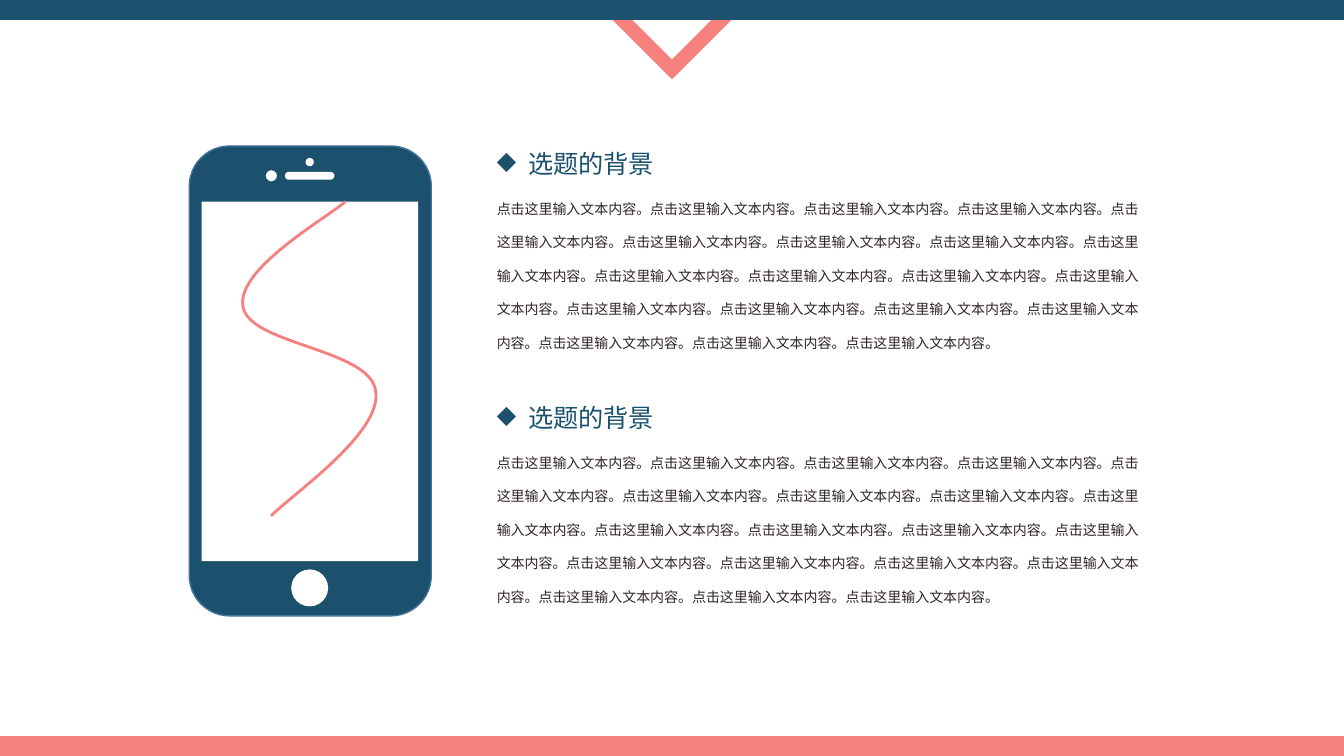
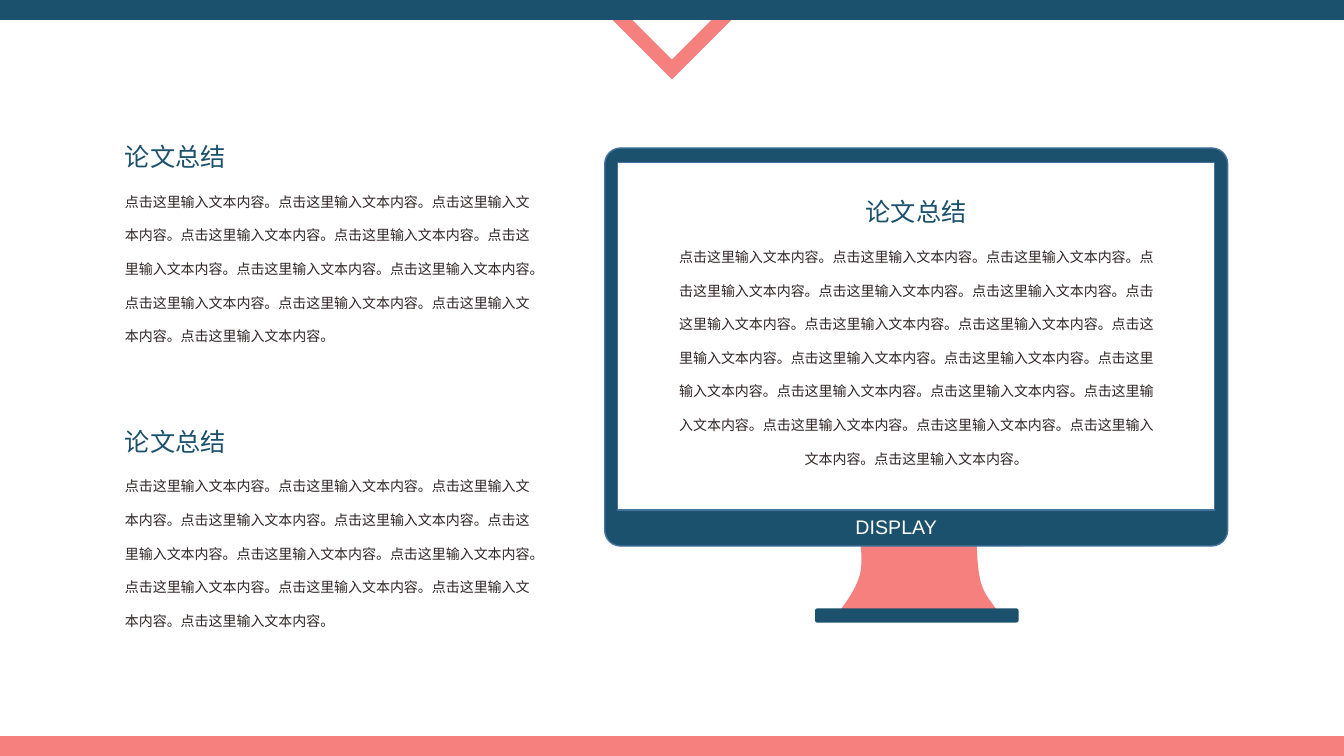
import lxml.etree
import pptx
import pptx.dml.color
import pptx.enum.shapes
import pptx.enum.text
import pptx.oxml.ns
import pptx.util

Cm = pptx.util.Cm
Pt = pptx.util.Pt
KIND = pptx.enum.shapes.MSO_SHAPE
ALIGN = pptx.enum.text.PP_ALIGN

NAVY, CORAL, WHITE, INK, EDGE = "1B516D", "F6807E", "FFFFFF", "302527", "43739E"
CJK = "Noto Sans CJK SC"
WIDTH, HEIGHT, BAND = 33.87, 19.05, 0.5
MIDDLE = WIDTH / 2
BODY_OFFSET, LINE_PITCH = 0.9, 0.85

HEADING = {"face": CJK, "size": 18, "color": NAVY, "pitch": 22}
BODY = {"face": CJK, "size": 10, "color": INK, "pitch": 24}
LABEL = {"face": "Arial", "size": 14, "color": WHITE, "pitch": 17}

SENTENCE = "点击这里输入文本内容。"

BACKGROUND_BLOCKS = [
    {"heading": "选题的背景", "at": (12.27, 3.59), "width": 16.84, "count": 20, "lines": 5, "bullet": "◆"},
    {"heading": "选题的背景", "at": (12.27, 9.99), "width": 16.84, "count": 20, "lines": 5, "bullet": "◆"},
]
SUMMARY_BLOCKS = [
    {"heading": "论文总结", "at": (2.9, 3.42), "width": 10.76, "count": 12, "lines": 5},
    {"heading": "论文总结", "at": (2.9, 10.59), "width": 10.76, "count": 12, "lines": 5},
    {"heading": "论文总结", "at": (16.8, 4.81), "width": 12.58, "count": 20, "lines": 7, "align": ALIGN.CENTER},
]

BANDS = [
    (KIND.RECTANGLE, (0, 0, WIDTH, BAND), NAVY),
    (KIND.RECTANGLE, (0, HEIGHT - BAND, WIDTH, BAND), CORAL),
]
CHEVRON = [(MIDDLE + dx, y) for dx, y in
           [(-1.5, BAND), (0, 2), (1.5, BAND), (1, BAND), (0, 1.5), (-1, BAND)]]

PHONE = [
    (KIND.ROUNDED_RECTANGLE, (4.77, 3.68, 6.1, 11.84), NAVY, EDGE),
    (KIND.RECTANGLE, (5.08, 5.08, 5.46, 9.06), WHITE),
    (KIND.OVAL, (7.34, 14.35, 0.93, 0.93), WHITE),
    (KIND.ROUNDED_RECTANGLE, (7.18, 4.33, 1.25, 0.2), WHITE, None, 0.5),
    (KIND.OVAL, (6.7, 4.29, 0.28, 0.28), WHITE),
    (KIND.OVAL, (7.7, 3.98, 0.21, 0.21), WHITE),
]
SCREEN_CURVE = [
    (8.71, 5.08), (8.13, 5.56), (5.97, 6.78), (6.12, 7.72),
    (6.27, 8.69), (9.35, 8.79), (9.47, 9.86),
    (9.63, 10.9), (7.44, 12.4), (6.83, 13),
]
MONITOR_NECK = [
    (21.64, 13.26), (21.67, 13.49), (21.79, 14.05), (21.69, 14.48),
    (21.56, 14.94), (21.23, 15.32), (21.08, 15.54),
    (21.9, 15.6), (24.3, 15.6), (25.12, 15.42),
    (25.02, 15.21), (24.79, 15.04), (24.69, 14.63),
    (24.59, 14.22), (24.61, 13.72), (24.59, 13.36),
]
MONITOR = [
    (KIND.ROUNDED_RECTANGLE, (20.54, 15.33, 5.13, 0.36), NAVY),
    (KIND.ROUNDED_RECTANGLE, (15.24, 3.73, 15.7, 10.03), NAVY, EDGE, 0.04),
    (KIND.RECTANGLE, (15.57, 4.09, 15.04, 8.76), WHITE, EDGE),
]
MONITOR_LABEL = ("DISPLAY", (21.31, 12.85, 3.56, 0.86))


def rgb(color):
    return pptx.dml.color.RGBColor.from_string(color)


def assign(target, values):
    for name, value in values.items():
        setattr(target, name, value)


def paint(shape, fill=None, line=None, weight=1):
    shape.shadow.inherit = False
    if fill:
        shape.fill.solid()
        shape.fill.fore_color.rgb = rgb(fill)
    else:
        shape.fill.background()
    if line:
        shape.line.color.rgb = rgb(line)
        shape.line.width = Pt(weight)
    else:
        shape.line.fill.background()
    return shape


def add_part(shapes, kind, box, fill, line=None, rounding=None):
    part = paint(shapes.add_shape(kind, *map(Cm, box)), fill, line)
    if rounding is not None:
        part.adjustments[0] = rounding
    return part


def add_outline(shapes, points, close, **colors):
    start, *rest = [(Cm(x), Cm(y)) for x, y in points]
    builder = shapes.build_freeform(*start)
    builder.add_line_segments(rest, close=close)
    return paint(builder.convert_to_shape(), **colors)


def trace_curve(controls, steps=24):
    points = [controls[0]]
    for first in range(0, len(controls) - 1, 3):
        segment = controls[first:first + 4]
        for step in range(1, steps + 1):
            t = step / steps
            weights = ((1 - t) ** 3, 3 * t * (1 - t) ** 2, 3 * t * t * (1 - t), t ** 3)
            points.append(tuple(sum(w * p[axis] for w, p in zip(weights, segment))
                                for axis in (0, 1)))
    return points


def add_bullet(paragraph, symbol):
    properties = paragraph._p.get_or_add_pPr()
    properties.set("marL", str(Cm(0.79)))
    properties.set("indent", str(-Cm(0.79)))
    lxml.etree.SubElement(properties, pptx.oxml.ns.qn("a:buChar"), char=symbol)


def write(holder, text, box, style, align=ALIGN.LEFT, bullet=None):
    assign(holder, dict(zip(("left", "top", "width", "height"), map(Cm, box))))
    assign(holder.text_frame, {
        "word_wrap": True,
        "auto_size": pptx.enum.text.MSO_AUTO_SIZE.NONE,
        "vertical_anchor": pptx.enum.text.MSO_ANCHOR.TOP,
        "margin_left": Cm(0.25), "margin_right": Cm(0.25),
        "margin_top": Cm(0.13), "margin_bottom": Cm(0.13),
    })
    paragraph = holder.text_frame.paragraphs[0]
    if bullet:
        add_bullet(paragraph, bullet)
    assign(paragraph, {"alignment": align, "line_spacing": Pt(style["pitch"]),
                       "space_before": Pt(0)})
    run = paragraph.add_run()
    run.text = text
    assign(run.font, {"name": style["face"], "size": Pt(style["size"]), "bold": False})
    run.font.color.rgb = rgb(style["color"])
    lxml.etree.SubElement(run._r.get_or_add_rPr(), pptx.oxml.ns.qn("a:ea"),
                          typeface=style["face"])


def add_text(shapes, *args, **options):
    write(shapes.add_textbox(0, 0, 0, 0), *args, **options)


def add_blocks(slide, blocks):
    for index, block in enumerate(blocks):
        left, top = block["at"]
        width = block["width"]
        align = block.get("align", ALIGN.LEFT)
        heading = slide.shapes.title if index == 0 else slide.shapes.add_textbox(0, 0, 0, 0)
        write(heading, block["heading"], (left, top, width, 1.02), HEADING,
              align, block.get("bullet"))
        add_text(slide.shapes, SENTENCE * block["count"],
                 (left, top + BODY_OFFSET, width, block["lines"] * LINE_PITCH + 0.26),
                 BODY, align=align)


def add_frame(layout, slide):
    frame = [add_outline(slide.shapes, CHEVRON, True, fill=CORAL)]
    frame += [add_part(slide.shapes, *band) for band in BANDS]
    for part in frame:
        layout.shapes.element.append(part.element)


def build_background(slide):
    phone = slide.shapes.add_group_shape().shapes
    for part in PHONE:
        add_part(phone, *part)
    add_outline(slide.shapes, trace_curve(SCREEN_CURVE), False, line=CORAL, weight=2)
    add_blocks(slide, BACKGROUND_BLOCKS)


def build_summary(slide):
    monitor = slide.shapes.add_group_shape().shapes
    add_outline(monitor, trace_curve(MONITOR_NECK), True, fill=CORAL, line=CORAL)
    for part in MONITOR:
        add_part(monitor, *part)
    add_text(monitor, *MONITOR_LABEL, LABEL)
    add_blocks(slide, SUMMARY_BLOCKS)


def main():
    deck = pptx.Presentation()
    assign(deck, {"slide_width": Cm(WIDTH), "slide_height": Cm(HEIGHT)})
    layout = deck.slide_layouts.get_by_name("Title Only")
    background, summary = [deck.slides.add_slide(layout) for _ in range(2)]
    add_frame(layout, background)
    build_background(background)
    build_summary(summary)
    deck.save("out.pptx")


if __name__ == "__main__":
    main()
